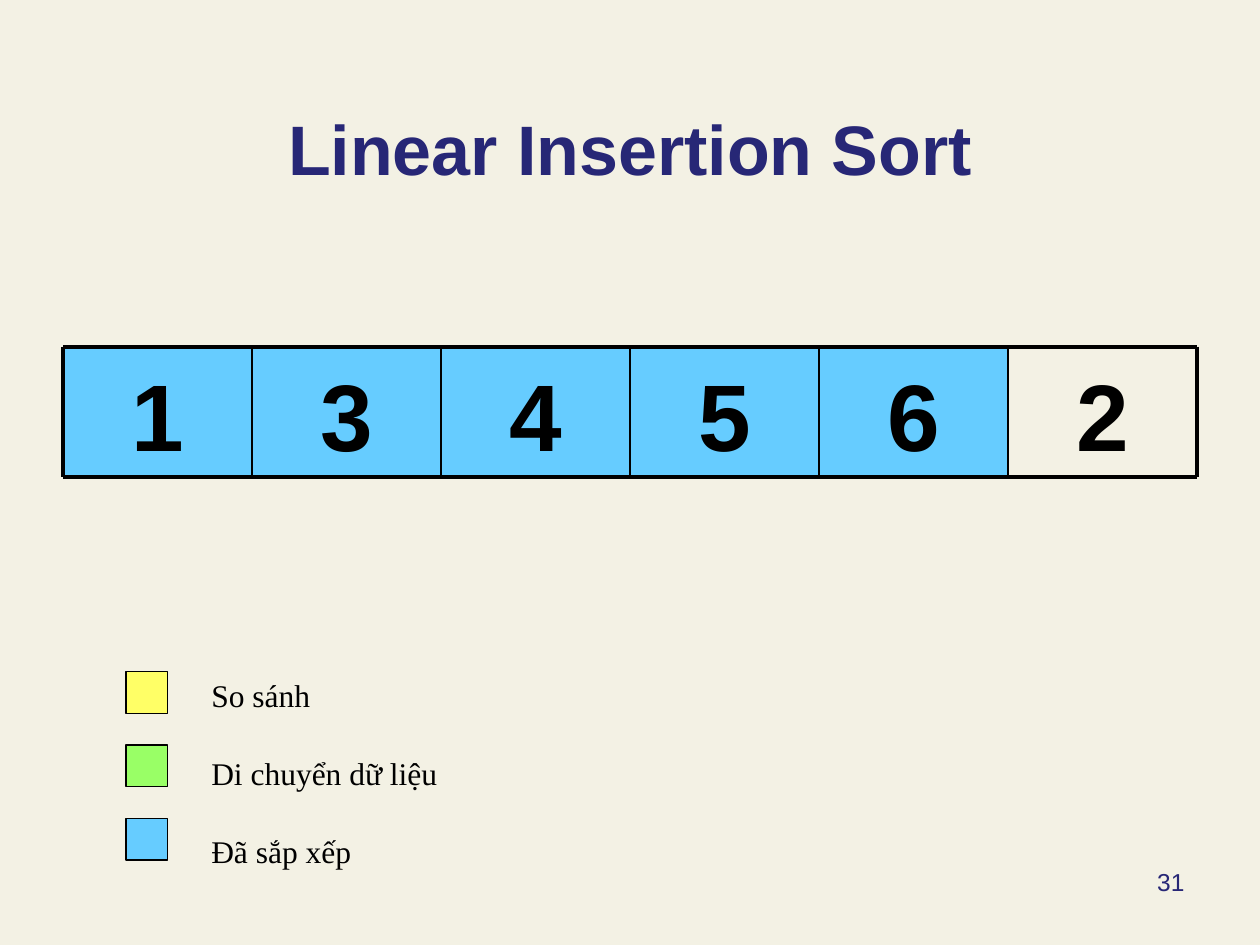
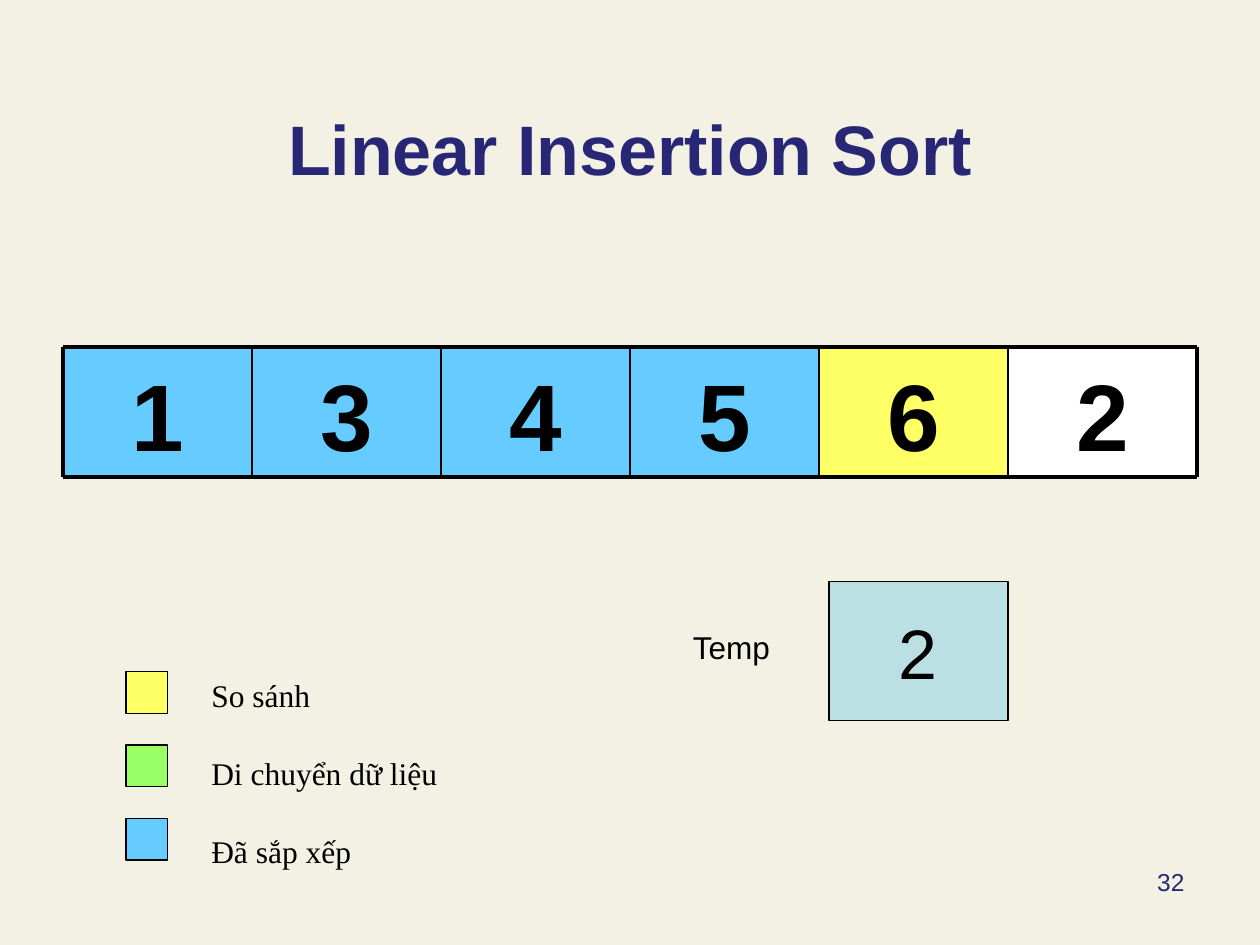
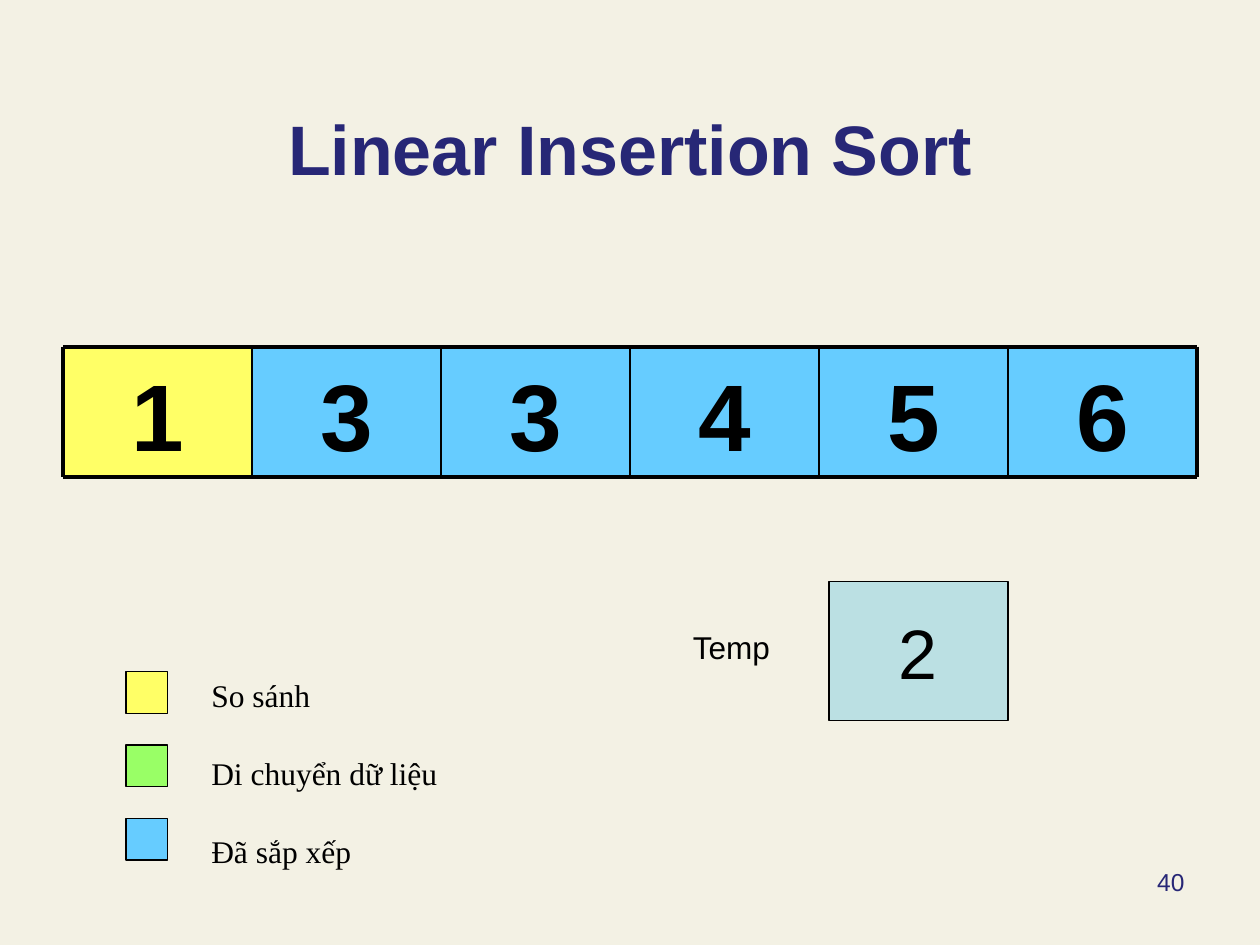
from lxml.etree import SubElement
from pptx import Presentation
from pptx.dml.color import RGBColor as RGB
from pptx.enum.shapes import MSO_CONNECTOR as LINK, MSO_SHAPE as FORM
from pptx.enum.text import MSO_ANCHOR as ANCHOR, MSO_AUTO_SIZE as AUTO, PP_ALIGN as ALIGN
from pptx.oxml.ns import qn
from pptx.util import Cm, Pt

CREAM = RGB(0xF3, 0xF1, 0xE4)
NAVY = RGB(0x27, 0x27, 0x76)
BLACK = RGB(0, 0, 0)
WHITE = RGB(0xFF, 0xFF, 0xFF)
BLUE = RGB(0x66, 0xCC, 0xFF)
YELLOW = RGB(0xFF, 0xFF, 0x66)
GREEN = RGB(0x99, 0xFF, 0x66)
TEAL = RGB(0xBB, 0xE0, 0xE3)

SANS = "Arial"
SERIF = "Times New Roman"

TITLE = (1.27, 0.76, 22.86, 3.18)
NUMBER = (18.21, 17.35, 5.92, 1.32)
ARRAY = (1.27, 6.99, 22.86, 2.62)
LEGEND = (2.54, 13.54, 6.58, 4.11)
TEMP = (13.72, 11.73, 6.6, 2.79)

KEYS = [("So sánh", YELLOW), ("Di chuyển dữ liệu", GREEN), ("Đã sắp xếp", BLUE)]

STEPS = [
    (31, "134562", [BLUE] * 5 + [None], None),
    (32, "134562", [BLUE] * 4 + [YELLOW, WHITE], "2"),
    (40, "133456", [YELLOW] + [BLUE] * 5, "2"),
]


def place(shape, box):
    shape.left, shape.top, shape.width, shape.height = map(Cm, box)


def write(shape, lines, size, color=BLACK, face=SANS, bold=False,
          align=ALIGN.LEFT, anchor=ANCHOR.TOP, wrap=True, gap=0):
    frame = shape.text_frame
    frame.text = "\n".join(lines)
    frame.auto_size = AUTO.NONE
    frame.word_wrap = wrap
    frame.vertical_anchor = anchor
    for i, para in enumerate(frame.paragraphs):
        para.alignment = align
        para.space_before = Pt(gap if i else 0)
        font = para.font
        font.name, font.size, font.bold = face, Pt(size), bold
        font.color.rgb = color


def label(slide, box, lines, size, **style):
    text = slide.shapes.add_textbox(*map(Cm, box))
    write(text, lines, size, **style)


def block(slide, box, fill, edge=None):
    shape = slide.shapes.add_shape(FORM.RECTANGLE, *map(Cm, box))
    shape.shadow.inherit = False
    if fill is None:
        shape.fill.background()
    else:
        shape.fill.solid()
        shape.fill.fore_color.rgb = fill
    if edge:
        shape.line.color.rgb = BLACK
        shape.line.width = Pt(edge)
    else:
        shape.line.fill.background()
    return shape


def rule(slide, ends, width):
    line = slide.shapes.add_connector(LINK.STRAIGHT, *map(Cm, ends))
    line.line.color.rgb = BLACK
    line.line.width = Pt(width)
    SubElement(line._element.spPr, qn("a:effectLst"))


def array(slide, box, digits, fills):
    x, y, w, h = box
    count = len(digits)
    step = w / count
    for i, (digit, fill) in enumerate(zip(digits, fills)):
        cell = block(slide, (x + i * step, y, step, h), fill)
        write(cell, [digit], 54, bold=True, align=ALIGN.CENTER, anchor=ANCHOR.BOTTOM)
    for edge in (y, y + h):
        rule(slide, (x, edge, x + w, edge), 2.25)
    for i in range(count + 1):
        side = x + i * step
        rule(slide, (side, y, side, y + h), 1 if 0 < i < count else 2.25)


def legend(slide, box):
    x, y, w, h = box
    for i, (_, fill) in enumerate(KEYS):
        block(slide, (x, y + i * 1.48, 0.84, 0.84), fill, 0.75)
    label(slide, (x + 1.47, y, w - 1.47, h), [name for name, _ in KEYS], 18,
          face=SERIF, anchor=ANCHOR.BOTTOM, wrap=False, gap=22.7)


def temp(slide, box, value):
    x, y, w, h = box
    cell = block(slide, (x + w - 3.61, y, 3.61, h), TEAL, 0.75)
    write(cell, [value], 40, align=ALIGN.CENTER, anchor=ANCHOR.MIDDLE, wrap=False)
    label(slide, (x, y + 0.79, 2.59, 1.02), ["Temp"], 18, anchor=ANCHOR.BOTTOM)


def build(deck, number, digits, fills, value):
    slide = deck.slides.add_slide(deck.slide_layouts[5])
    title = slide.shapes.title
    place(title, TITLE)
    write(title, ["Linear Insertion Sort"], 40, color=NAVY, bold=True,
          align=ALIGN.CENTER, anchor=ANCHOR.BOTTOM)
    label(slide, NUMBER, [str(number)], 14, color=NAVY, align=ALIGN.RIGHT)
    array(slide, ARRAY, digits, fills)
    legend(slide, LEGEND)
    if value:
        temp(slide, TEMP, value)


def main():
    deck = Presentation()
    deck.slide_width, deck.slide_height = Cm(25.4), Cm(19.05)
    ground = deck.slide_master.background.fill
    ground.solid()
    ground.fore_color.rgb = CREAM
    for step in STEPS:
        build(deck, *step)
    deck.save("out.pptx")


if __name__ == "__main__":
    main()
